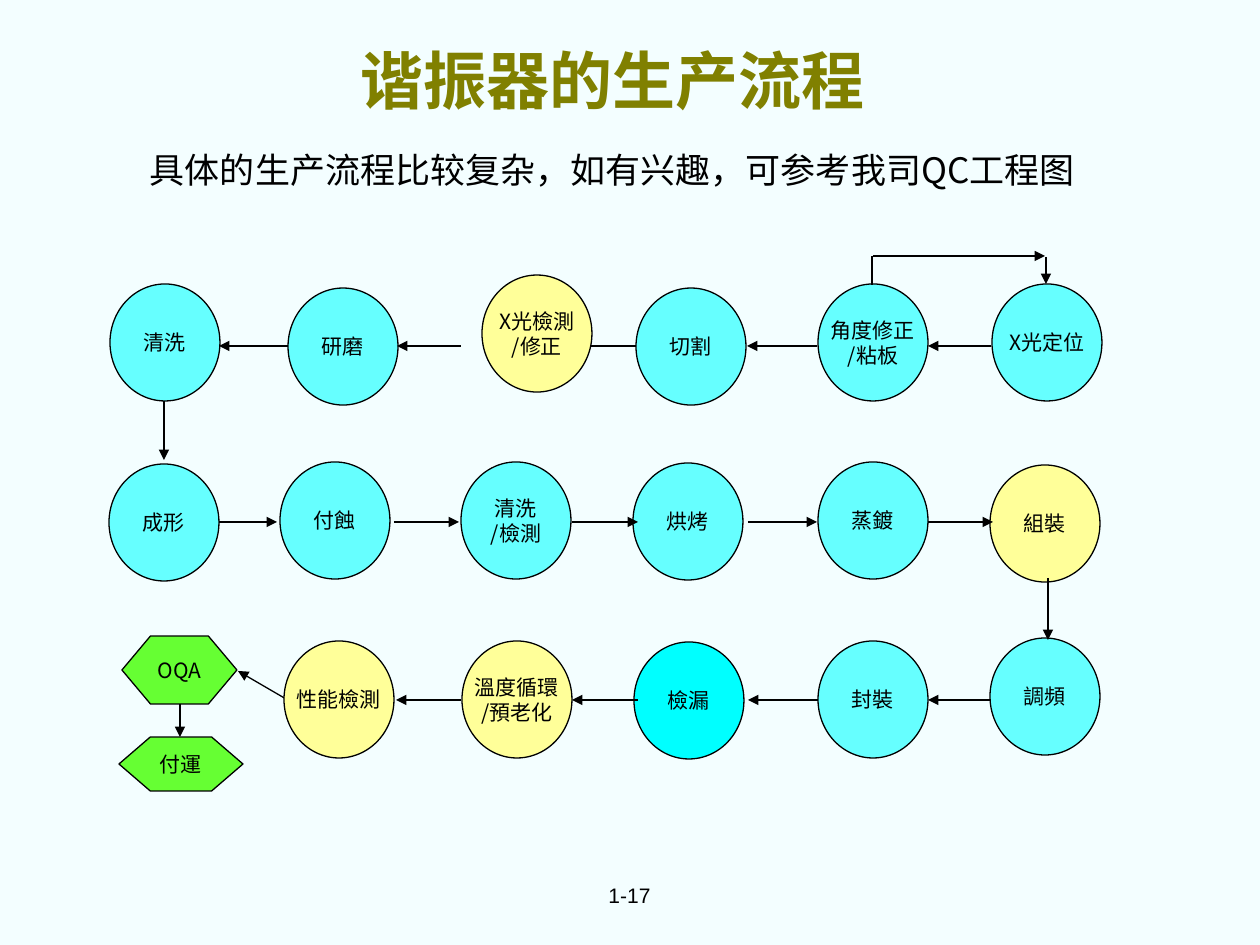
from lxml.etree import SubElement
from pptx import Presentation
from pptx.dml.color import RGBColor
from pptx.enum.shapes import MSO_CONNECTOR, MSO_SHAPE
from pptx.enum.text import MSO_ANCHOR, MSO_AUTO_SIZE, PP_ALIGN
from pptx.oxml.ns import qn
from pptx.util import Emu, Pt

PX = 914400 // 126
CJK = "Noto Sans CJK SC"
COLORS = {"background": "F3FEFF", "title": "808000", "ink": "000000",
          "process": "66FFFF", "leak": "00FFFF", "check": "FFFF99",
          "final": "66FF33"}

# Content: label, left, top, colour
CIRCLE_SIZE = (110, 117)
STEPS = [
    ("X光定位", 992, 284, "process"),
    ("角度修正\n/粘板", 818, 284, "process"),
    ("切割", 636, 288, "process"),
    ("研磨", 288, 288, "process"),
    ("成形", 109, 464, "process"),
    ("付蝕", 280, 462, "process"),
    ("清洗\n/檢測", 461, 462, "process"),
    ("烘烤", 633, 463, "process"),
    ("蒸鍍", 818, 462, "process"),
    ("組裝", 990, 465, "check"),
    ("調頻", 990, 638, "process"),
    ("封裝", 818, 641, "process"),
    ("檢漏", 634, 642, "leak"),
]
# Steps that cover the ends of their arrows
STEPS_OVER_ARROWS = [
    ("X光檢測\n/修正", 482, 275, "check"),
    ("清洗", 110, 284, "process"),
    ("溫度循環\n/預老化", 462, 641, "check"),
    ("性能檢測", 284, 641, "check"),
]
# Label, left, top, width, height, point depth
FINAL_STEPS = [("OQA", 122, 636, 115, 68, 0.42),
               ("付運", 119, 737, 124, 54, 0.58)]

# Level arrows: y, then (start x, end x) pairs
LEVEL_ARROWS = [
    (256, [(873, 1045)]),
    (346, [(991, 928), (817, 747), (636, 572), (461, 397), (288, 219)]),
    (522, [(219, 277), (394, 459), (572, 638), (748, 817), (928, 993)]),
    (700, [(991, 928), (818, 748), (638, 572), (461, 396)]),
]
# Other arrows: start x, start y, end x, end y
OTHER_ARROWS = [
    (1046, 257, 1046, 284), (164, 401, 164, 460), (1048, 578, 1048, 640),
    (286, 699, 238, 671), (180, 704, 180, 737),
]
PLAIN_LINES = [(872, 285, 872, 256)]


def color(name):
    return RGBColor.from_string(COLORS[name])


def px(*values):
    return [Emu(value * PX) for value in values]


def write_text(shape, text, size=12, font=CJK, ink="ink", bold=False,
               wrap=True, append=False, space_before=0, line_spacing=None):
    frame = shape.text_frame
    frame.word_wrap = wrap
    frame.auto_size = MSO_AUTO_SIZE.NONE
    frame.vertical_anchor = MSO_ANCHOR.MIDDLE
    for index, line in enumerate(text.split("\n")):
        paragraph = (frame.add_paragraph() if append or index
                     else frame.paragraphs[0])
        paragraph.alignment = PP_ALIGN.CENTER
        paragraph.space_before = Pt(space_before)
        if line_spacing:
            paragraph.line_spacing = line_spacing
        run = paragraph.add_run()
        run.text = line
        run.font.name = font
        run.font.size = Pt(size)
        run.font.bold = bold
        run.font.color.rgb = color(ink)
        SubElement(run.font._element, qn("a:ea"), typeface=CJK)


def add_step(kind, label, box, fill):
    shape = slide.shapes.add_shape(kind, *px(*box))
    shape.shadow.inherit = False
    shape.fill.solid()
    shape.fill.fore_color.rgb = color(fill)
    shape.line.color.rgb = color("ink")
    shape.line.width = Pt(0.75)
    write_text(shape, label, wrap=False)
    return shape


def add_circles(steps):
    for label, left, top, fill in steps:
        add_step(MSO_SHAPE.OVAL, label, (left, top, *CIRCLE_SIZE), fill)


def add_line(points, arrow=True):
    line = slide.shapes.add_connector(MSO_CONNECTOR.STRAIGHT, *px(*points))
    line.line.color.rgb = color("ink")
    line.line.width = Pt(0.75)
    if arrow:
        SubElement(line.line._get_or_add_ln(), qn("a:tailEnd"),
                   type="triangle")
    SubElement(line._element.spPr, qn("a:effectLst"))


# Slide
presentation = Presentation()
presentation.slide_width, presentation.slide_height = px(1260, 945)
slide = presentation.slides.add_slide(presentation.slide_layouts[5])
slide.background.fill.solid()
slide.background.fill.fore_color.rgb = color("background")

# Title with its note
title = slide.shapes.title
title.left, title.top, title.width, title.height = px(77, 37, 1071, 158)
write_text(title, "谐振器的生产流程", size=36, font="Arial", ink="title",
           bold=True)
write_text(title, "具体的生产流程比较复杂，如有兴趣，可参考我司QC工程图",
           size=20, append=True, space_before=18)

# Process steps
add_circles(STEPS)
for label, left, top, width, height, depth in FINAL_STEPS:
    hexagon = add_step(MSO_SHAPE.HEXAGON, label,
                       (left, top, width, height), "final")
    hexagon.adjustments[0] = depth

# Arrows
for y, spans in LEVEL_ARROWS:
    for start, end in spans:
        add_line((start, y, end, y))
for points in OTHER_ARROWS:
    add_line(points)
for points in PLAIN_LINES:
    add_line(points, arrow=False)
add_circles(STEPS_OVER_ARROWS)

# Page number
page_number = slide.shapes.add_textbox(*px(581, 875, 97, 39))
write_text(page_number, "1-17", font="Arial", line_spacing=1.05)

presentation.save("out.pptx")
